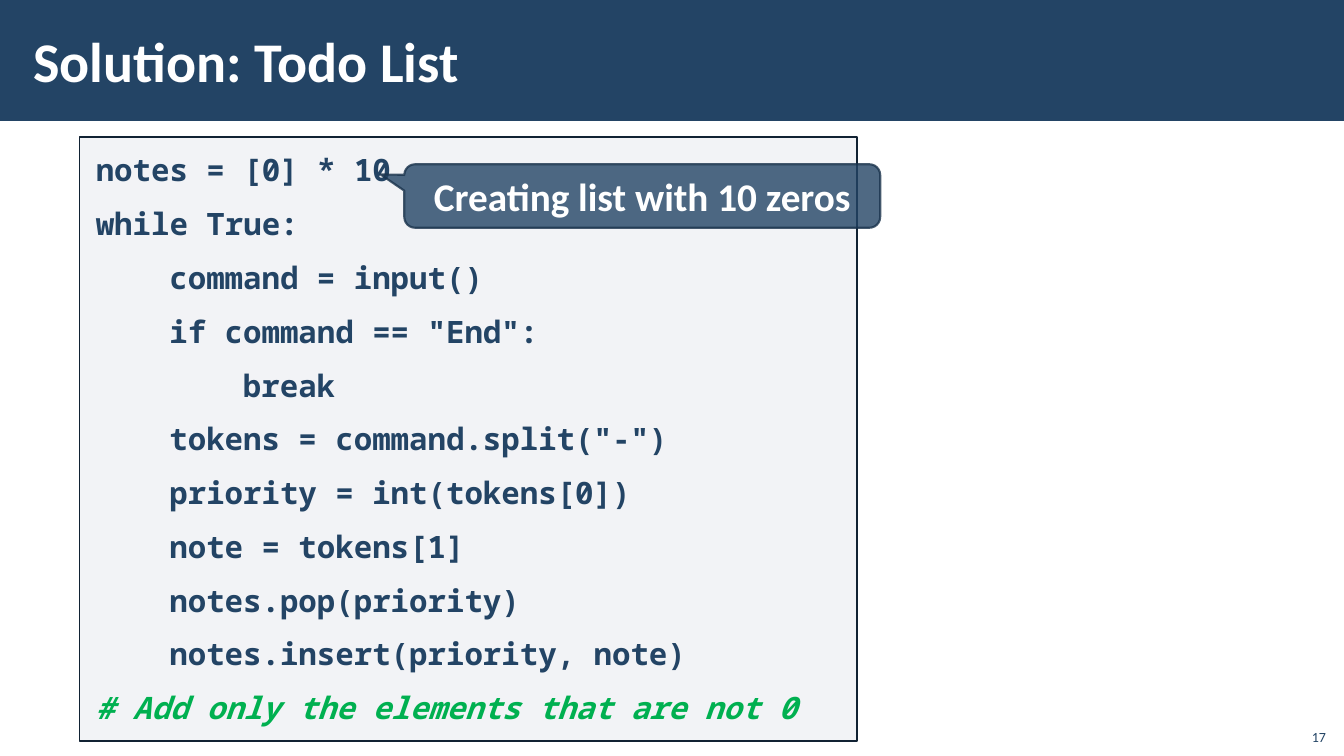
import pptx
import pptx.dml.color
import pptx.enum.shapes
import pptx.enum.text
import pptx.oxml.ns
import pptx.util
import lxml.etree

Inches = pptx.util.Inches
Pt = pptx.util.Pt
Shapes = pptx.enum.shapes.MSO_SHAPE
Align = pptx.enum.text.PP_ALIGN
Anchor = pptx.enum.text.MSO_ANCHOR


class Theme:
    navy = "234465"
    dark_navy = "1A334C"
    outline = "112233"
    panel = "ADB4C3"
    comment = "00B050"
    white = "FFFFFF"
    body_font = "Calibri"
    code_font = "Noto Sans Mono"
    title_size = 40
    callout_size = 28
    code_size = 22
    code_line = 26.4
    number_size = 10
    indent = 0.73  # width of four code characters


# Indent level and text of each code line
CODE = [
    (0, "notes = [0] * 10"),
    (0, "while True:"),
    (1, "command = input()"),
    (1, 'if command == "End":'),
    (2, "break"),
    (1, 'tokens = command.split("-")'),
    (1, "priority = int(tokens[0])"),
    (1, "note = tokens[1]"),
    (1, "notes.pop(priority)"),
    (1, "notes.insert(priority, note)"),
    (0, "# Add only the elements that are not 0"),
]


class SlideBuilder:
    def __init__(self, slide, theme):
        self.slide = slide
        self.theme = theme

    def paint(self, color_format, color, opacity=100):
        color_format.fore_color.rgb = pptx.dml.color.RGBColor.from_string(color)
        if opacity < 100:
            tag = pptx.oxml.ns.qn("a:srgbClr")
            parent = color_format.fore_color._xFill
            alpha = lxml.etree.SubElement(parent.find(tag), pptx.oxml.ns.qn("a:alpha"))
            alpha.set("val", str(opacity * 1000))

    def box(self, kind, bounds, fill, opacity=100, line=None, width=1, line_opacity=100):
        shape = self.slide.shapes.add_shape(kind, *map(Inches, bounds))
        shape.shadow.inherit = False
        shape.fill.solid()
        self.paint(shape.fill, fill, opacity)
        if line is None:
            shape.line.fill.background()
        else:
            shape.line.width = Pt(width)
            shape.line.fill.solid()
            self.paint(shape.line.fill, line, line_opacity)
        return shape

    def format(self, paragraph, size, color, font, bold=True, italic=False):
        for run in paragraph.runs:
            run.font.size = Pt(size)
            run.font.name = font
            run.font.bold = bold
            run.font.italic = italic
            run.font.color.rgb = pptx.dml.color.RGBColor.from_string(color)

    def frame(self, shape, anchor, insets=(0.1, 0.05)):
        frame = shape.text_frame
        frame.word_wrap = True
        frame.vertical_anchor = anchor
        frame.margin_left = frame.margin_right = Inches(insets[0])
        frame.margin_top = frame.margin_bottom = Inches(insets[1])
        return frame

    def label(self, shape, text, size, color, align, anchor, bold=True, insets=(0.1, 0.05)):
        frame = self.frame(shape, anchor, insets)
        frame.text = text
        paragraph = frame.paragraphs[0]
        paragraph.alignment = align
        self.format(paragraph, size, color, self.theme.body_font, bold)

    def text(self, bounds, *label, **options):
        shape = self.slide.shapes.add_textbox(*map(Inches, bounds))
        self.label(shape, *label, **options)

    def code(self, bounds, lines):
        theme = self.theme
        shape = self.box(Shapes.RECTANGLE, bounds, theme.panel, 15, theme.outline)
        frame = self.frame(shape, Anchor.TOP, (0.16, 0.14))
        for index, (level, text) in enumerate(lines):
            paragraph = frame.add_paragraph() if index else frame.paragraphs[0]
            paragraph.text = text
            paragraph.alignment = Align.LEFT
            paragraph.space_before = paragraph.space_after = Pt(6)
            paragraph.line_spacing = Pt(theme.code_line)
            properties = paragraph._p.get_or_add_pPr()
            properties.set("marL", str(Inches(level * theme.indent)))
            properties.set("indent", "0")
            is_comment = text.startswith("#")
            color = theme.comment if is_comment else theme.navy
            self.format(paragraph, theme.code_size, color, theme.code_font, italic=is_comment)

    def callout(self, bounds, adjustments, text):
        theme = self.theme
        shape = self.box(Shapes.ROUNDED_RECTANGULAR_CALLOUT, bounds, theme.navy, 80,
                         theme.dark_navy, 1.5, 80)
        for index, value in enumerate(adjustments):
            shape.adjustments[index] = value
        self.label(shape, text, theme.callout_size, theme.white, Align.CENTER, Anchor.MIDDLE)


def main():
    presentation = pptx.Presentation()
    presentation.slide_width = Inches(13.33)
    presentation.slide_height = Inches(7.5)
    slide = presentation.slides.add_slide(presentation.slide_layouts[6])
    theme = Theme()
    builder = SlideBuilder(slide, theme)

    # Header band
    builder.box(Shapes.RECTANGLE, (0, 0, 13.33, 1.2), theme.navy)

    # Code panel
    builder.code((0.79, 1.36, 7.71, 5.99), CODE)

    # Title
    builder.text((0.21, 0.11, 10.63, 0.97), "Solution: Todo List", theme.title_size,
                 theme.white, Align.LEFT, Anchor.MIDDLE, insets=(0.12, 0.04))

    # Callout on the first line of code
    builder.callout((4.01, 1.63, 4.72, 0.63), (-0.55, -0.34, 0.17),
                    "Creating list with 10 zeros")

    # Slide number
    builder.text((12.85, 7.12, 0.4, 0.32), "17", theme.number_size,
                 theme.navy, Align.RIGHT, Anchor.BOTTOM, bold=False)

    presentation.save("out.pptx")


if __name__ == "__main__":
    main()
